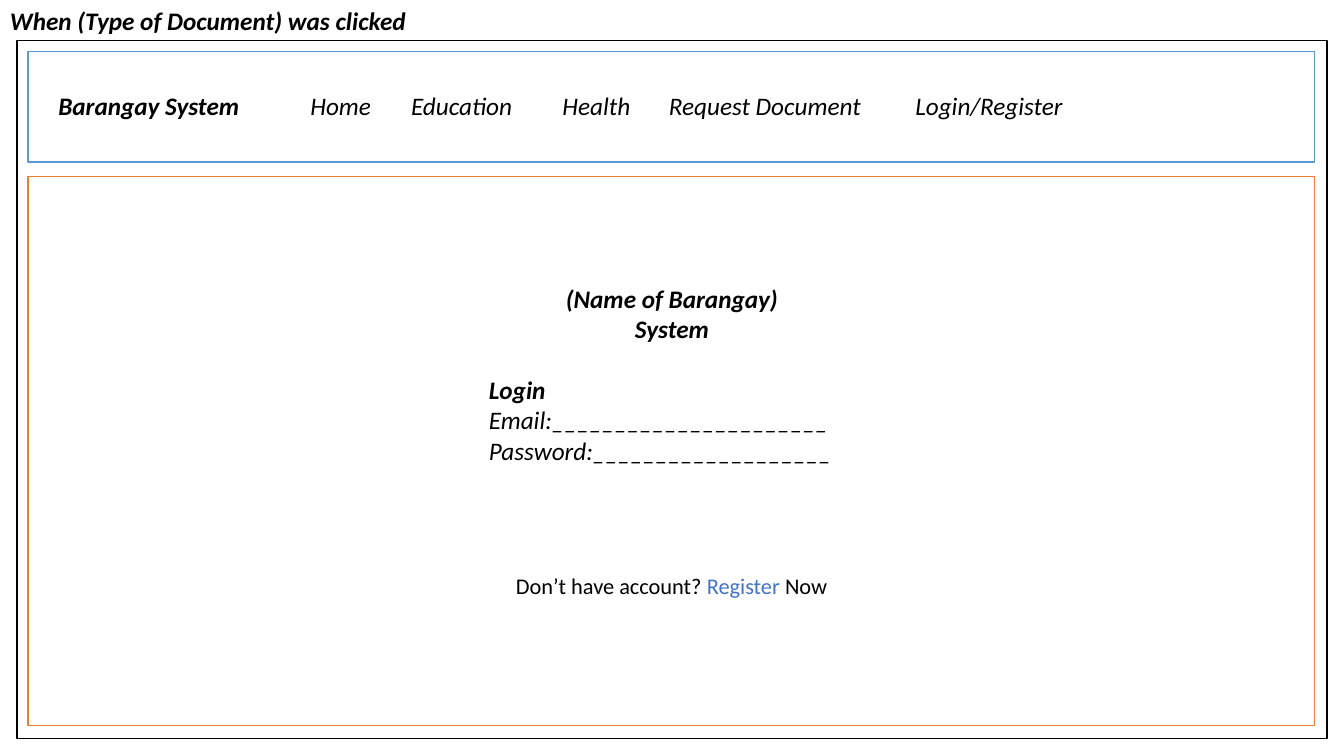
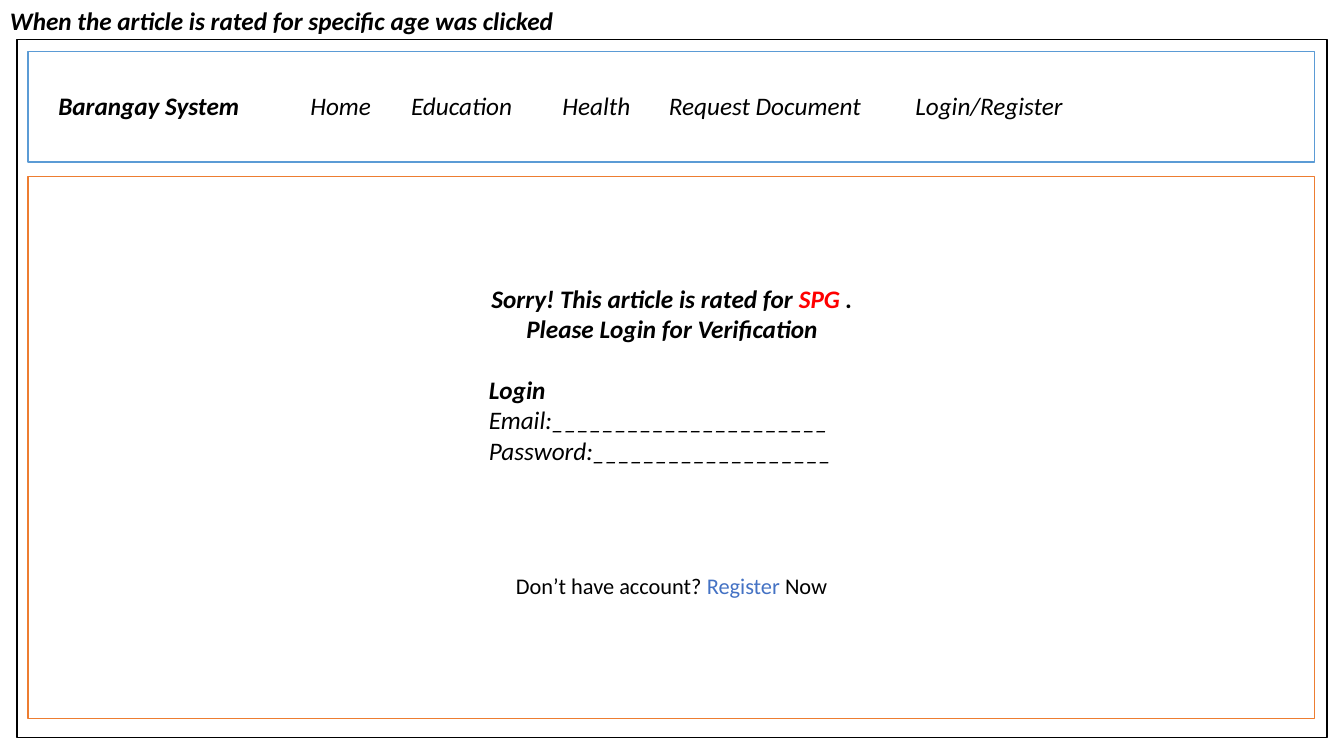
from pptx import Presentation
from pptx.dml.color import RGBColor
from pptx.enum.shapes import MSO_SHAPE
from pptx.enum.text import PP_ALIGN
from pptx.util import Inches, Pt

FONT = "Calibri"
BLACK, WHITE, RED = "000000", "FFFFFF", "FF0000"
NAV_BLUE, BODY_ORANGE, LINK_BLUE = "5B9BD5", "ED7D31", "4472C4"


def color(hex_string):
    return RGBColor.from_string(hex_string)


def add_panel(slide, box, outline):
    panel = slide.shapes.add_shape(MSO_SHAPE.RECTANGLE, *map(Inches, box))
    panel.shadow.inherit = False
    panel.fill.solid()
    panel.fill.fore_color.rgb = color(WHITE)
    panel.line.color.rgb = color(outline)
    panel.line.width = Pt(1)


def add_text_frame(slide, box, wrap=True):
    frame = slide.shapes.add_textbox(*map(Inches, box)).text_frame
    frame.word_wrap = wrap
    return frame


def write(paragraph, text, size=18, bold=False, italic=True, ink=BLACK):
    for index, line in enumerate(text.split("\n")):
        if index:
            paragraph.add_line_break()
        run = paragraph.add_run()
        run.text = line
        run.font.name = FONT
        run.font.size = Pt(size)
        run.font.bold = bold
        run.font.italic = italic
        run.font.color.rgb = color(ink)


def add_caption(slide, box, text):
    write(add_text_frame(slide, box, wrap=False).paragraphs[0], text, bold=True)


def add_nav_bar(slide, box):
    left, top, width, _ = box
    add_panel(slide, box, NAV_BLUE)
    menu = add_text_frame(slide, (left + 0.2, top + 0.34, width - 0.39, 0.4)).paragraphs[0]
    write(menu, "Barangay System\t\t", bold=True)
    write(menu, "Home\tEducation\tHealth\t Request Document\t\tLogin/Register")


def add_login_area(slide, box, heading):
    left, top, _, _ = box
    add_panel(slide, box, BODY_ORANGE)

    form = add_text_frame(slide, (left + 4.47, top + 1.01, 3.83, 2.22))
    message = form.paragraphs[0]
    message.alignment = PP_ALIGN.CENTER
    for text, ink in heading:
        write(message, text, bold=True, ink=ink)
    login = form.add_paragraph()
    login.space_before = Pt(22)
    write(login, "Login", bold=True)
    for field in ("Email:" + "_" * 22, "Password:" + "_" * 19):
        write(form.add_paragraph(), field)

    prompt = add_text_frame(slide, (left + 4.42, top + 3.88, 3.92, 0.37)).paragraphs[0]
    prompt.alignment = PP_ALIGN.CENTER
    for text, ink in (("Don’t have account? ", BLACK), ("Register", LINK_BLUE), (" Now", BLACK)):
        write(prompt, text, size=16, italic=False, ink=ink)


def add_login_slide(deck, caption, caption_width, page_top, body_height, heading):
    slide = deck.slides.add_slide(deck.slide_layouts[6])
    add_caption(slide, (0, 0, caption_width, 0.4), caption)
    add_panel(slide, (0.17, page_top, 12.99, 6.93), BLACK)
    add_nav_bar(slide, (0.28, 0.51, 12.76, 1.1))
    add_login_area(slide, (0.28, 1.75, 12.76, body_height), heading)


def main():
    deck = Presentation()
    deck.slide_width, deck.slide_height = Inches(13.33), Inches(7.5)
    add_login_slide(
        deck, "When (Type of Document) was clicked", 4.18, 0.4, 5.45,
        [("(Name of Barangay)\nSystem", BLACK)],
    )
    add_login_slide(
        deck, "When the article is rated for specific age was clicked", 5.72, 0.39, 5.38,
        [("Sorry! This article is rated for ", BLACK), ("SPG", RED),
         (" . Please Login for Verification", BLACK)],
    )
    deck.save("out.pptx")


if __name__ == "__main__":
    main()
